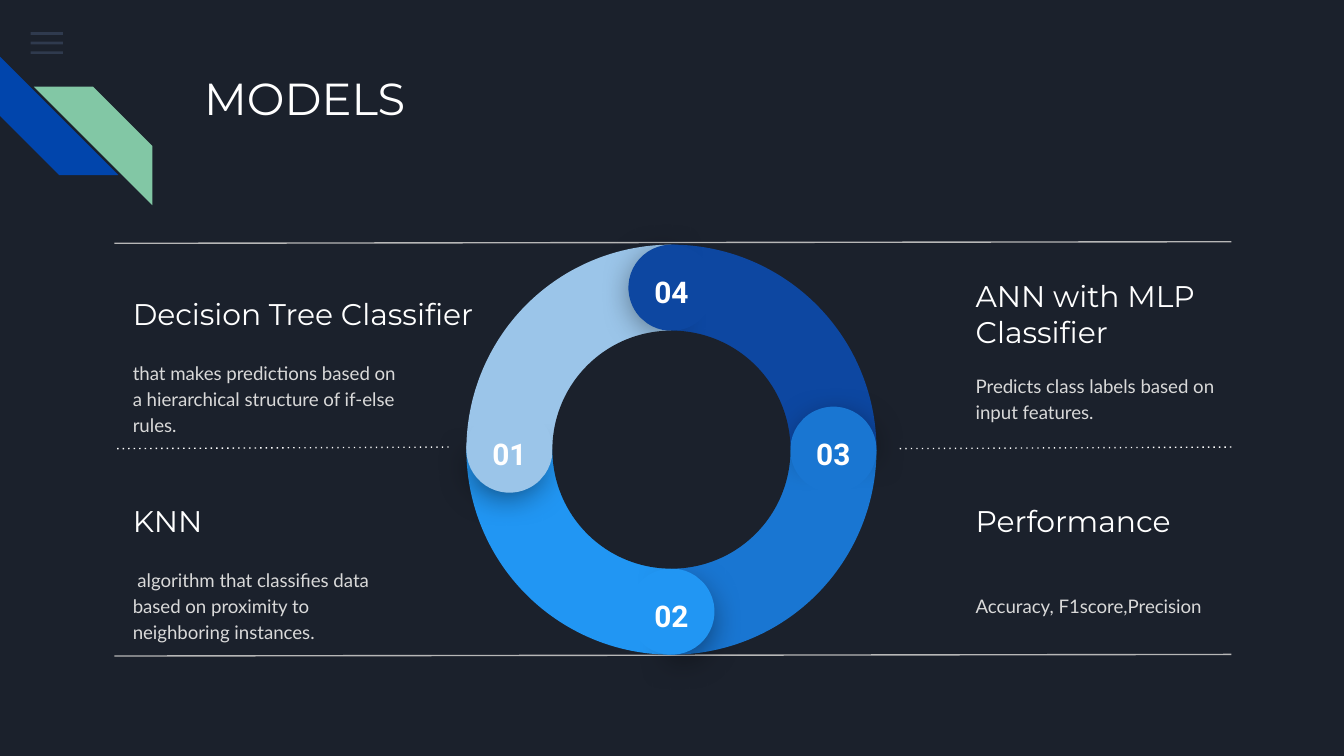
"""Build the MODELS slide: a four-part ring with a note for each model."""
from dataclasses import dataclass
from math import cos, radians, sin
from typing import Optional

from lxml import etree
from pptx import Presentation
from pptx.dml.color import RGBColor
from pptx.enum.dml import MSO_LINE
from pptx.enum.shapes import MSO_CONNECTOR, MSO_SHAPE
from pptx.enum.text import MSO_ANCHOR, PP_ALIGN
from pptx.oxml.ns import qn
from pptx.shapes.autoshape import Shape
from pptx.slide import Slide
from pptx.util import Cm, Pt

RECT, STRIPE, PIE = MSO_SHAPE.RECTANGLE, MSO_SHAPE.DIAGONAL_STRIPE, MSO_SHAPE.PIE
CHORD, OVAL = MSO_SHAPE.CHORD, MSO_SHAPE.OVAL
LINE, DOT = MSO_CONNECTOR.STRAIGHT, MSO_LINE.ROUND_DOT
TOP, MIDDLE = MSO_ANCHOR.TOP, MSO_ANCHOR.MIDDLE
LEFT, CENTER = PP_ALIGN.LEFT, PP_ALIGN.CENTER


@dataclass(frozen=True)
class Style:
    font: str
    size: float
    color: str
    bold: bool = False
    align: PP_ALIGN = LEFT
    anchor: MSO_ANCHOR = MIDDLE
    space: Optional[float] = None
    after: float = 0


@dataclass(frozen=True)
class Theme:
    back: str = "1B212C"
    bar: str = "55688B"
    blue: str = "0145AC"
    green: str = "82C7A5"
    rule: str = "B7B7B7"
    dots: str = "FFFFFF"
    shade: str = "000000"
    title: Style = Style("Montserrat", 24, "FFFFFF", anchor=TOP)
    head: Style = Style("Montserrat", 16, "FFFFFF")
    body: Style = Style("Lato", 10, "D9D9D9", space=1.15, after=16)
    label: Style = Style("Roboto", 16, "FFFFFF", True, CENTER, TOP)


@dataclass(frozen=True)
class Box:
    left: float
    top: float
    width: float
    height: float


@dataclass(frozen=True)
class Note:
    left: float
    top: float
    width: float
    head: str
    body: str


@dataclass(frozen=True)
class Rule:
    left: float
    top: float
    right: float
    color: str
    dotted: bool = False


@dataclass(frozen=True)
class Part:
    label: str
    color: str
    turn: int


THEME = Theme()
MID_X, MID_Y, RING, HOLE = 12.69, 8.5, 7.75, 4.5
COL_A, COL_B, ROW_A, ROW_B = 2.26, 18.19, 5.31, 9.22
NOTES = [
    Note(COL_A, ROW_A, 7.75, "Decision Tree Classifier",
         "that makes predictions based on a hierarchical structure of if-else rules."),
    Note(COL_A, ROW_B, 5.16, "KNN",
         " algorithm that classifies data based on proximity to neighboring instances."),
    Note(COL_B, ROW_A, 7.2, "ANN with MLP Classifier",
         "Predicts class labels based on input features."),
    Note(COL_B, ROW_B, 5.16, "Performance", "Accuracy, F1score,Precision"),
]
RULES = [
    Rule(2.16, 4.6, 23.27, THEME.rule),
    Rule(2.16, 8.48, 8.48, THEME.dots, True),
    Rule(16.94, 8.48, 23.27, THEME.dots, True),
    Rule(2.16, 12.4, 23.27, THEME.rule),
]
PARTS = [
    Part("01", "9BC5E9", 0),
    Part("02", "2196F3", 270),
    Part("03", "1976D2", 180),
    Part("04", "0D47A1", 90),
]


def around(x: float, y: float, width: float, height: float) -> Box:
    """Return the box centred on a point."""
    return Box(x - width / 2, y - height / 2, width, height)


def orbit(turn: int, reach: float) -> tuple[float, float]:
    """Return the point on the ring where a part begins."""
    angle = radians(180 + turn)
    return MID_X + reach * cos(angle), MID_Y + reach * sin(angle)


def add_form(slide: Slide, kind: MSO_SHAPE, box: Box, color: str,
             turn: float = 0, adjust: tuple[float, ...] = ()) -> Shape:
    """Draw a flat preset shape."""
    form = slide.shapes.add_shape(
        kind, Cm(box.left), Cm(box.top), Cm(box.width), Cm(box.height))
    form.shadow.inherit = False
    form.fill.solid()
    form.fill.fore_color.rgb = RGBColor.from_string(color)
    form.line.fill.background()
    form.rotation = turn % 360
    for index, value in enumerate(adjust):
        form.adjustments[index] = value
    return form


def fade(color: etree._Element, percent: int) -> None:
    """Give a colour element its opacity."""
    etree.SubElement(color, qn("a:alpha"), val=str(percent * 1000))


def add_shade(form: Shape) -> None:
    """Cast a soft shadow below a shape."""
    effects = form._element.spPr.find(qn("a:effectLst"))
    shade = etree.SubElement(
        effects, qn("a:outerShdw"), blurRad=str(Pt(18)), dist=str(Pt(4)),
        dir="5400000", algn="bl", rotWithShape="0")
    fade(etree.SubElement(shade, qn("a:srgbClr"), val=THEME.shade), 55)


def add_text(slide: Slide, text: str, box: Box, style: Style) -> None:
    """Write one wrapped paragraph."""
    frame = slide.shapes.add_textbox(
        Cm(box.left), Cm(box.top), Cm(box.width), Cm(box.height)).text_frame
    frame.word_wrap = True
    frame.vertical_anchor = style.anchor
    frame.margin_left = frame.margin_right = Cm(0.25)
    frame.margin_top = frame.margin_bottom = Cm(0.25)
    para = frame.paragraphs[0]
    para.text = text
    para.alignment = style.align
    para.line_spacing = style.space
    para.space_after = Pt(style.after)
    para.font.name, para.font.size = style.font, Pt(style.size)
    para.font.bold = style.bold
    para.font.color.rgb = RGBColor.from_string(style.color)


def add_rule(slide: Slide, rule: Rule) -> None:
    """Draw a slightly rising rule."""
    link = slide.shapes.add_connector(
        LINE, Cm(rule.right), Cm(rule.top - 0.03), Cm(rule.left), Cm(rule.top))
    link.line.color.rgb = RGBColor.from_string(rule.color)
    link.line.width = Pt(0.75)
    if rule.dotted:
        link.line.dash_style = DOT
        link._element.find(".//" + qn("a:prstDash")).set("val", "dot")
    etree.SubElement(link._element.spPr, qn("a:effectLst"))


def add_cap(slide: Slide, part: Part) -> None:
    """Draw the round, numbered start of a ring part."""
    half = around(*orbit(part.turn, 3.11), 1.45, 1.45)
    add_shade(add_form(slide, PIE, half, part.color, part.turn + 39.5, (189.54, 83.81)))
    x, y = orbit(part.turn, 3.06)
    add_form(slide, CHORD, around(x, y, 1.63, 1.63), part.color,
             part.turn + 4.1, (25.01, 18.12))
    add_text(slide, part.label, around(x, y - 0.15, 1.42, 0.74), THEME.label)


def main() -> None:
    """Build and save the slide."""
    deck = Presentation()
    deck.slide_width, deck.slide_height = Cm(25.4), Cm(14.29)
    slide = deck.slides.add_slide(deck.slide_layouts[6])
    slide.background.fill.solid()
    slide.background.fill.fore_color.rgb = RGBColor.from_string(THEME.back)
    for index in range(3):
        bar = add_form(slide, RECT, Box(0.58, 0.61 + index * 0.18, 0.61, 0.05), THEME.bar)
        fade(bar._element.spPr.find(".//" + qn("a:srgbClr")), 36)
    add_form(slide, STRIPE, Box(0, 1.07, 2.24, 2.24), THEME.blue, 270, (0.5,))
    stripe = add_form(slide, STRIPE, Box(0.64, 1.64, 2.24, 2.24), THEME.green, 0, (0.5,))
    stripe._element.spPr.find(qn("a:xfrm")).set("flipH", "1")
    add_text(slide, "MODELS", Box(3.61, 1.09, 19.56, 2.54), THEME.title)
    for note in NOTES:
        add_text(slide, note.head, Box(note.left, note.top, note.width, 1.24), THEME.head)
        add_text(slide, note.body, Box(note.left, note.top + 1.24, 5.54, 1.93), THEME.body)
    for rule in RULES:
        add_rule(slide, rule)
    for part in PARTS:
        add_form(slide, PIE, around(MID_X, MID_Y, RING, RING), part.color,
                 part.turn, (108, 162))
    for part in PARTS:
        add_cap(slide, part)
    add_form(slide, OVAL, around(MID_X, MID_Y, HOLE, HOLE), THEME.back)
    deck.save("out.pptx")


if __name__ == "__main__":
    main()
